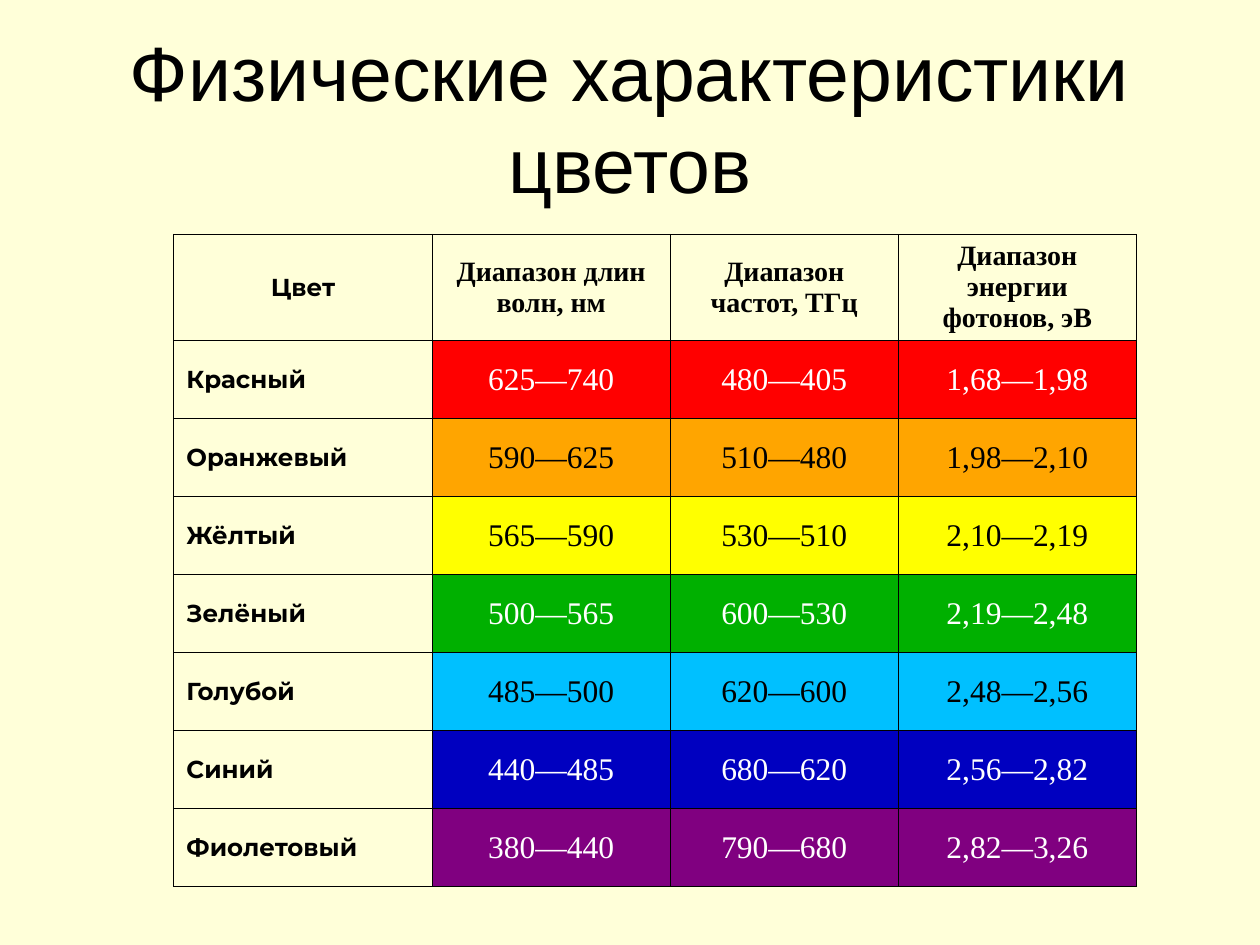
from lxml import etree
from pptx import Presentation
from pptx.dml.color import RGBColor
from pptx.enum import text
from pptx.oxml import ns
from pptx.util import Inches, Pt

# Content
TITLE = "Физические характеристики цветов"
HEADERS = ["Цвет", "Диапазон длин волн, нм", "Диапазон частот, ТГц",
           "Диапазон энергии фотонов, эВ"]
# name, wavelength, frequency, energy, fill, text colour
COLOURS = [
    ("Красный", "625—740", "480—405", "1,68—1,98", "FF0000", "FFFFFF"),
    ("Оранжевый", "590—625", "510—480", "1,98—2,10", "FFA500", "000000"),
    ("Жёлтый", "565—590", "530—510", "2,10—2,19", "FFFF00", "000000"),
    ("Зелёный", "500—565", "600—530", "2,19—2,48", "00B000", "FFFFFF"),
    ("Голубой", "485—500", "620—600", "2,48—2,56", "00C0FF", "000000"),
    ("Синий", "440—485", "680—620", "2,56—2,82", "0000C0", "FFFFFF"),
    ("Фиолетовый", "380—440", "790—680", "2,82—3,26", "800080", "FFFFFF"),
]

# Theme and layout
THEME = {
    "bg": "FFFFD9", "ink": "000000", "border": 0.75,
    "title": {"font": "Arial", "size": 44},
    "name": {"font": "Montserrat", "size": 14, "bold": True},
    "header": {"font": "Times New Roman", "size": 16, "bold": True},
    "value": {"font": "Times New Roman", "size": 18},
}
TITLE_BOX = (0.5, 0.3, 9, 1.25)
TABLE_LEFT, TABLE_TOP = 1.38, 1.86
COL_WIDTHS = [2.05, 1.89, 1.81, 1.89]
ROW_HEIGHT = 0.62


def write(tf, words, font, size, bold=False, color=THEME["ink"], align="CENTER"):
    tf.word_wrap = True
    p = tf.paragraphs[0]
    p.alignment = getattr(text.PP_ALIGN, align)
    r = p.add_run()
    r.text = words
    r.font.name, r.font.size, r.font.bold = font, Pt(size), bold
    r.font.color.rgb = RGBColor.from_string(color)


def set_borders(cell):
    tc_pr = cell._tc.get_or_add_tcPr()
    for i, side in enumerate(("a:lnL", "a:lnR", "a:lnT", "a:lnB")):
        ln = etree.Element(ns.qn(side), w=str(Pt(THEME["border"])))
        fill = etree.SubElement(ln, ns.qn("a:solidFill"))
        etree.SubElement(fill, ns.qn("a:srgbClr"), val=THEME["ink"])
        tc_pr.insert(i, ln)  # borders come before the fill


def fill_cell(cell, words, fill=None, **fmt):
    cell.vertical_anchor = text.MSO_ANCHOR.MIDDLE
    write(cell.text_frame, words, **fmt)
    if fill:
        cell.fill.solid()
        cell.fill.fore_color.rgb = RGBColor.from_string(fill)
    else:
        cell.fill.background()
    set_borders(cell)


prs = Presentation()
prs.slide_width, prs.slide_height = Inches(10), Inches(7.5)
slide = prs.slides.add_slide(prs.slide_layouts[5])
slide.background.fill.solid()
slide.background.fill.fore_color.rgb = RGBColor.from_string(THEME["bg"])

# Title
title = slide.shapes.title
title.left, title.top, title.width, title.height = map(Inches, TITLE_BOX)
title.text_frame.vertical_anchor = text.MSO_ANCHOR.MIDDLE
write(title.text_frame, TITLE, **THEME["title"])

# Table
n_rows = len(COLOURS) + 1
table = slide.shapes.add_table(
    n_rows, len(HEADERS), Inches(TABLE_LEFT), Inches(TABLE_TOP),
    Inches(sum(COL_WIDTHS)), Inches(n_rows * ROW_HEIGHT)).table
table.first_row = table.horz_banding = False
for col, width in zip(table.columns, COL_WIDTHS):
    col.width = Inches(width)
for row in table.rows:
    row.height = Inches(ROW_HEIGHT)

# Header row
for c, words in enumerate(HEADERS):
    fill_cell(table.cell(0, c), words, **THEME["header" if c else "name"])

# One row per colour
for r, (name, *values, fill, ink) in enumerate(COLOURS, 1):
    fill_cell(table.cell(r, 0), name, align="LEFT", **THEME["name"])
    for c, value in enumerate(values, 1):
        fill_cell(table.cell(r, c), value, fill, color=ink, **THEME["value"])

prs.save("out.pptx")
